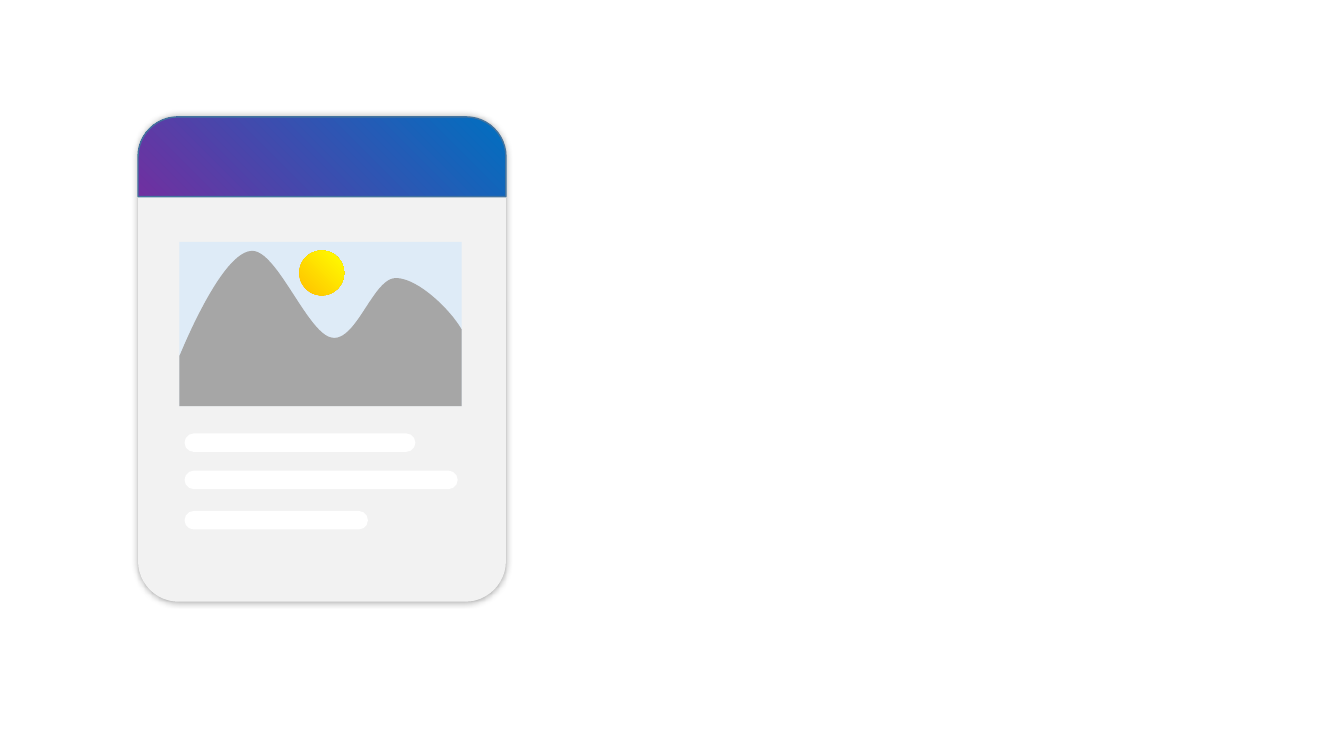
"""Draw a page card with a gradient header, a landscape and three text bars."""
from lxml import etree
from pptx import Presentation
from pptx import util as u
from pptx.dml import color
from pptx.enum import shapes
from pptx.oxml import ns

SLIDE = (960, 540)
CARD = (98.6, 83.5, 262.8, 346.3)
HEADER_HEIGHT = 56.9
BAR_LEFT, BAR_HEIGHT = 131.8, 13.2
BARS = [(309.6, 164.9), (336.2, 195.1), (365, 131)]
SKY = (128.2, 172.8, 201.6, 117.4)
SUN = (213.8, 179, 32, 32)
RIDGE_START = (128.9, 252.7)
RIDGE = [
    ((138.2, 230.4), (161.3, 180.7), (179.3, 179.3)),
    ((197.3, 177.1), (219.6, 238.3), (236.9, 241.2)),
    ((254.2, 244.8), (266.4, 199.4), (282.2, 198.7)),
    ((297.4, 198), (321.1, 220.3), (329.8, 235.4)),
]
STEPS = 24


def rgb(value):
    return color.RGBColor.from_string(value)


def paint(shape, fills, angle=0, line=None):
    shape.shadow.inherit = False
    if len(fills) == 1:
        shape.fill.solid()
        shape.fill.fore_color.rgb = rgb(fills[0])
    else:
        shape.fill.gradient()
        shape.fill.gradient_angle = angle
        for stop, value in zip(shape.fill.gradient_stops, fills):
            stop.color.rgb = rgb(value)
    if line:
        shape.line.color.rgb = rgb(line)
        shape.line.width = u.Pt(1)
    else:
        shape.line.fill.background()
    return shape


def add(kind, box, *fills, adjust=(), **look):
    shape = page.shapes.add_shape(kind, *map(u.Pt, box))
    for index, value in enumerate(adjust):
        shape.adjustments[index] = value
    return paint(shape, fills, **look)


def child(parent, tag, **attributes):
    return etree.SubElement(parent, ns.qn(tag), **attributes)


def glow_shadow(shape):
    effects = shape._element.spPr.find(ns.qn("a:effectLst"))
    shadow = child(effects, "a:outerShdw", blurRad=str(u.Pt(5)), dist="0",
                   dir="0", algn="ctr", rotWithShape="0")
    black = child(shadow, "a:srgbClr", val="000000")
    child(black, "a:alpha", val="40000")


def radial_from_top_right(shape):
    gradient = shape._element.spPr.find(ns.qn("a:gradFill"))
    gradient.remove(gradient.find(ns.qn("a:lin")))
    circle = child(gradient, "a:path", path="circle")
    child(circle, "a:fillToRect", l="100000", b="100000")


def curve(start, first, second, end):
    for step in range(1, STEPS + 1):
        t = step / STEPS
        weights = ((1 - t) ** 3, 3 * t * (1 - t) ** 2, 3 * t * t * (1 - t), t ** 3)
        yield tuple(sum(w * p for w, p in zip(weights, axis))
                    for axis in zip(start, first, second, end))


def add_mountains():
    left, top, width, height = SKY
    bottom = top + height
    outline = [(left, bottom), (left, 254.2), RIDGE_START]
    for bend in RIDGE:
        outline.extend(curve(outline[-1], *bend))
    outline.append((left + width, bottom))
    corners = [(u.Pt(x), u.Pt(y)) for x, y in outline]
    builder = page.shapes.build_freeform(*corners[0])
    builder.add_line_segments(corners[1:], close=True)
    paint(builder.convert_to_shape(), ["A6A6A6"])


deck = Presentation()
deck.slide_width, deck.slide_height = map(u.Pt, SLIDE)
page = deck.slides.add_slide(deck.slide_layouts[6]).shapes.add_group_shape()
kinds = shapes.MSO_SHAPE

glow_shadow(add(kinds.ROUNDED_RECTANGLE, CARD, "F2F2F2", adjust=[0.111]))
add(kinds.ROUND_2_SAME_RECTANGLE, (*CARD[:3], HEADER_HEIGHT), "0070C0", "7030A0",
    adjust=[0.5, 0], angle=225, line="43739E")
for bar_top, bar_width in BARS:
    add(kinds.ROUNDED_RECTANGLE, (BAR_LEFT, bar_top, bar_width, BAR_HEIGHT),
        "FFFFFF", adjust=[0.5])
add(kinds.RECTANGLE, SKY, "DEEBF7")
add_mountains()
radial_from_top_right(add(kinds.OVAL, SUN, "FFFF00", "FFC000"))

deck.save("out.pptx")
